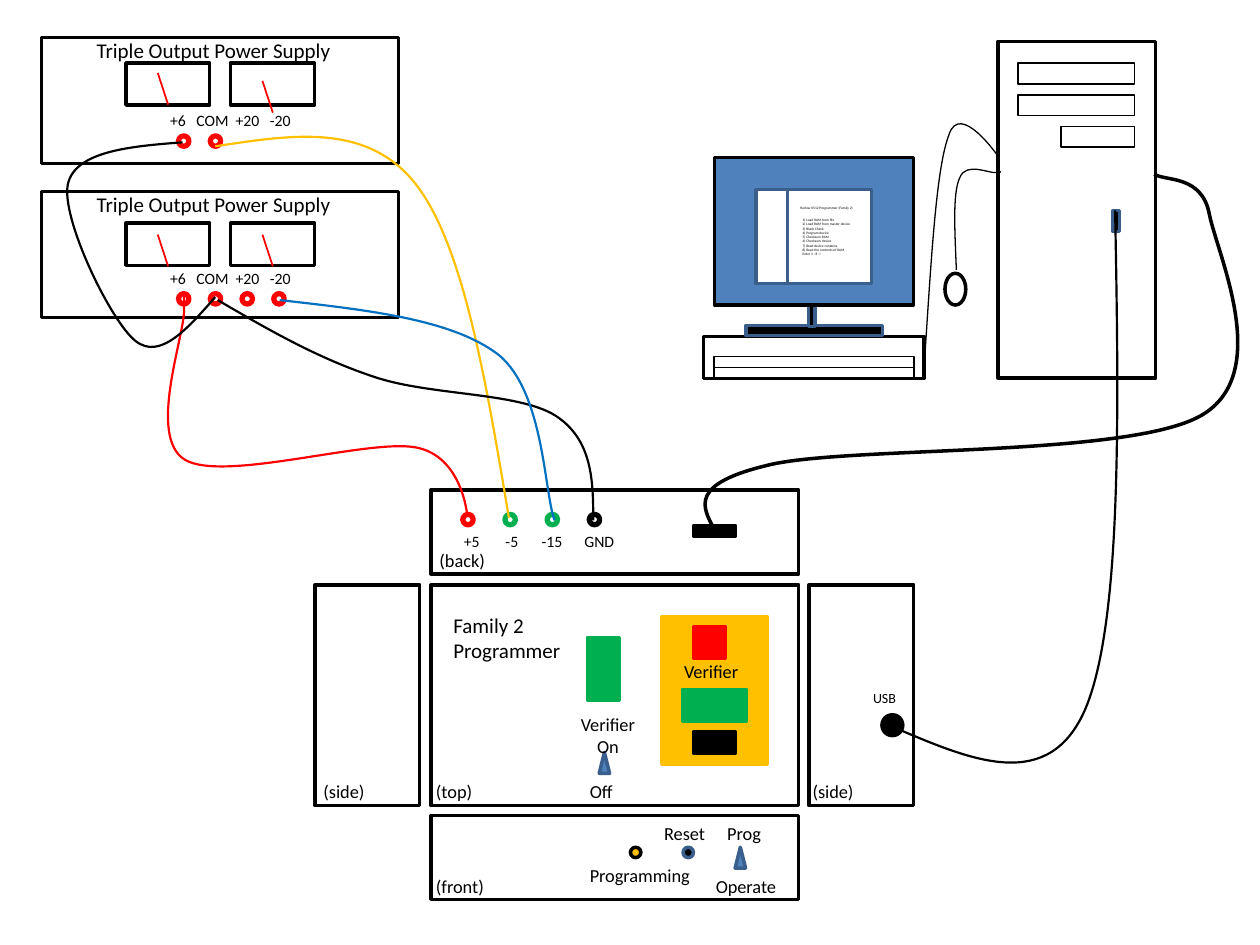
from lxml.etree import SubElement
from pptx import Presentation
from pptx.dml.color import RGBColor
from pptx.enum.shapes import MSO_CONNECTOR, MSO_SHAPE
from pptx.enum.text import PP_ALIGN
from pptx.oxml.ns import qn
from pptx.util import Cm, Pt

BLACK = RGBColor(0x00, 0x00, 0x00)
WHITE = RGBColor(0xFF, 0xFF, 0xFF)
RED = RGBColor(0xFF, 0x00, 0x00)
GREEN = RGBColor(0x00, 0xB0, 0x50)
AMBER = RGBColor(0xFF, 0xC0, 0x00)
CABLE_BLUE = RGBColor(0x00, 0x70, 0xC0)
SCREEN_BLUE = RGBColor(0x4F, 0x81, 0xBD)
EDGE_BLUE = RGBColor(0x3A, 0x5F, 0x8C)

RECT, OVAL, TRIANGLE = MSO_SHAPE.RECTANGLE, MSO_SHAPE.OVAL, MSO_SHAPE.ISOSCELES_TRIANGLE
DOT = 0.21
MENU = [
    "1) Load RAM from file", "2) Load RAM from master device", "3) Blank Check",
    "4) Program device", "5) Checksum RAM", "6) Checksum device",
    "7) Read device contents.", "8) Read the contents of RAM", "Enter 1 - 8 ->",
]


def add_part(slide, kind, left, top, width, height, fill=None, edge=BLACK, weight=2):
    part = slide.shapes.add_shape(kind, Cm(left), Cm(top), Cm(width), Cm(height))
    part.shadow.inherit = False
    if fill is None:
        part.fill.background()
    else:
        part.fill.solid()
        part.fill.fore_color.rgb = fill
    part.line.color.rgb = edge
    part.line.width = Pt(weight)


def add_label(slide, lines, left, top, width, height=0.71, size=10.5, tabs=(), align=None):
    label = slide.shapes.add_textbox(Cm(left), Cm(top), Cm(width), Cm(height))
    frame = label.text_frame
    frame.word_wrap = True
    frame.text = "\n".join(lines)
    for paragraph in frame.paragraphs:
        paragraph.alignment = align
        if tabs:
            stops = SubElement(paragraph._p.get_or_add_pPr(), qn("a:tabLst"))
            for stop in tabs:
                SubElement(stops, qn("a:tab"), pos=str(Cm(stop)), algn="l")
        paragraph.font.size = Pt(size)
        paragraph.font.name = "Calibri"
        paragraph.font.color.rgb = BLACK
    return frame


def add_line(slide, x1, y1, x2, y2, color, weight):
    line = slide.shapes.add_connector(MSO_CONNECTOR.STRAIGHT, Cm(x1), Cm(y1), Cm(x2), Cm(y2))
    line.line.color.rgb = color
    line.line.width = Pt(weight)
    SubElement(line._element.spPr, qn("a:effectLst"))


def add_wire(slide, color, weight, start, *points):
    builder = slide.shapes.build_freeform(Cm(start[0]), Cm(start[1]))
    builder.add_line_segments([(Cm(x), Cm(y)) for x, y in points], close=False)
    wire = builder.convert_to_shape()
    wire.shadow.inherit = False
    wire.fill.background()
    wire.line.color.rgb = color
    wire.line.width = Pt(weight)
    outline = wire._element.find(".//" + qn("a:path"))
    segments = outline.findall(qn("a:lnTo"))
    for first in range(0, len(segments), 3):
        curve = SubElement(outline, qn("a:cubicBezTo"))
        for segment in segments[first:first + 3]:
            curve.append(segment[0])
            outline.remove(segment)


def add_supply(slide, left, top, meter_top, needle_drops, jack_top, jack_count):
    add_part(slide, RECT, left, top, 7.2, 2.54)
    add_label(slide, ["Triple Output Power Supply"], left + 0.86, top - 0.13, 6.99, 0.76, 12)
    for meter_left, drop in zip((1.7, 3.81), needle_drops):
        x, y = left + meter_left, top + meter_top
        add_part(slide, RECT, x, y, 1.69, 0.85)
        add_line(slide, x + 0.64, y + drop, x + 0.85, y + drop + 0.64, RED, 1)
    for index in range(jack_count):
        add_part(slide, OVAL, left + 2.76 + 0.64 * index, top + jack_top, DOT, DOT, edge=RED, weight=3)
    add_label(slide, ["+6\tCOM\t+20\t-20"], left + 2.34, top + jack_top - 0.63, 4.88, 0.64, 9,
              tabs=(0.53, 1.32, 2.01))


def add_back(slide, left, top):
    add_part(slide, RECT, left, top, 7.41, 1.69)
    for index, color in enumerate((RED, GREEN, GREEN, BLACK)):
        add_part(slide, OVAL, left + 0.64 + 0.85 * index, top + 0.49, DOT, DOT, edge=color, weight=3)
    add_label(slide, ["+5\t-5\t-15\tGND"], left + 0.41, top + 0.71, 3.61, 0.64, 9,
              tabs=(0.84, 1.57, 2.43))
    add_label(slide, ["(back)"], left - 0.08, top + 1.06, 1.45)
    add_part(slide, RECT, left + 5.29, top + 0.72, 0.85, 0.21, BLACK)


def add_top(slide, left, top):
    add_part(slide, RECT, left, top, 7.41, 4.45)
    add_label(slide, ["Family 2", "Programmer"], left + 0.2, top + 0.43, 3.38, 1.27, 12)
    for x, y, width, height, color in (
        (4.65, 0.64, 2.12, 2.97, AMBER),
        (5.29, 0.84, 0.64, 0.64, RED),
        (5.08, 2.11, 1.27, 0.64, GREEN),
        (5.29, 2.97, 0.85, 0.42, BLACK),
        (3.16, 1.06, 0.64, 1.27, GREEN),
    ):
        add_part(slide, RECT, left + x, top + y, width, height, color, color)
    add_part(slide, TRIANGLE, left + 3.39, top + 3.38, DOT, 0.42, SCREEN_BLUE, EDGE_BLUE)
    add_label(slide, ["Verifier"], left + 4.85, top + 1.4, 1.65)
    add_label(slide, ["Verifier", "On"], left + 2.74, top + 2.46, 1.65, 1.14, align=PP_ALIGN.CENTER)
    add_label(slide, ["Off"], left + 2.95, top + 3.81, 1)
    add_label(slide, ["(top)"], left - 0.15, top + 3.81, 1.25)


def add_front(slide, left, top):
    add_part(slide, RECT, left, top, 7.41, 1.69)
    add_part(slide, OVAL, left + 4.02, top + 0.64, DOT, DOT, AMBER)
    add_part(slide, OVAL, left + 5.08, top + 0.64, DOT, DOT, BLACK, EDGE_BLUE)
    add_part(slide, TRIANGLE, left + 6.13, top + 0.64, DOT, 0.42, SCREEN_BLUE, EDGE_BLUE)
    for caption, x, y, width in (
        ("Reset", 4.45, 0, 1.65),
        ("Prog", 5.72, 0, 1.25),
        ("Programming", 2.95, 0.86, 2.57),
        ("Operate", 5.49, 1.07, 1.75),
        ("(front)", -0.15, 1.07, 1.5),
    ):
        add_label(slide, [caption], left + x, top + y, width)


def add_side(slide, left, top, caption_shift, has_usb=False):
    add_part(slide, RECT, left, top, 2.11, 4.45)
    add_label(slide, ["(side)"], left + caption_shift, top + 3.81, 1.35)
    if has_usb:
        add_part(slide, OVAL, left + 1.47, top + 2.62, 0.42, 0.42, BLACK)
        add_label(slide, ["USB"], left + 1.04, top + 1.98, 1.27, 0.61, 8)


def add_tower(slide, left, top):
    add_part(slide, RECT, left, top, 3.18, 6.78)
    for index, width in enumerate((2.34, 2.34, 1.48)):
        add_part(slide, RECT, left + 2.75 - width, top + 0.43 + 0.64 * index, width, 0.42, weight=1)
    add_part(slide, RECT, left + 2.32, top + 3.4, 0.13, 0.43, BLACK, EDGE_BLUE)


def add_desktop(slide, left, top):
    add_part(slide, RECT, left - 0.22, top + 3.6, 4.45, 0.85)
    add_part(slide, RECT, left + 0.64, top + 3.38, 2.75, 0.21, BLACK, EDGE_BLUE)
    add_part(slide, RECT, left + 1.9, top + 2.97, 0.13, 0.43, BLACK, EDGE_BLUE)
    add_part(slide, RECT, left, top + 4.01, 4.02, 0.43, weight=1)
    add_line(slide, left, top + 4.23, left + 4.02, top + 4.23, BLACK, 0.75)
    add_part(slide, RECT, left, top, 4.02, 2.97, SCREEN_BLUE)
    add_part(slide, RECT, left + 0.84, top + 0.64, 2.33, 1.9, WHITE, EDGE_BLUE)
    add_part(slide, RECT, left + 1.48, top + 0.64, 1.69, 1.9, WHITE, EDGE_BLUE)
    screen = add_label(slide, ["Harlow 0512 Programmer (Family 2)", *MENU],
                       left + 1.48, top + 0.84, 1.7, 1.27, 2)
    screen.paragraphs[1].space_before = Pt(4.8)
    for entry in screen.paragraphs[1:]:
        entry._p.get_or_add_pPr().set("marL", str(Cm(0.05)))
    add_part(slide, OVAL, left + 4.65, top + 2.33, 0.42, 0.64)


def add_wires(slide):
    add_wire(slide, BLACK, 0.75, (19.28, 5.44), (19.25, 4.67), (19.2, 3.89), (19.35, 3.58),
             (19.48, 3.25), (19.96, 3.51), (20.09, 3.48), (20.22, 3.48), (20.17, 3.45), (20.09, 3.45))
    add_wire(slide, BLACK, 0.75, (18.64, 7.24), (18.77, 5.31), (18.87, 3.38), (19.13, 2.72),
             (19.35, 2.03), (20.12, 3.15), (20.12, 3.15))
    add_wire(slide, BLACK, 1.25, (18.06, 14.68), (19.61, 15.34), (21.16, 16), (21.89, 14.27),
             (22.61, 12.52), (22.56, 8.38), (22.48, 4.24))
    add_wire(slide, RED, 1.25, (3.71, 6.12), (3.71, 5.94), (3.71, 5.77), (3.71, 6.27),
             (3.71, 6.81), (2.97, 8.81), (3.73, 9.27), (4.52, 9.73), (7.42, 8.84), (8.38, 9.02),
             (9.32, 9.19), (9.42, 10.39), (9.42, 10.39))
    add_wire(slide, AMBER, 1.25, (4.34, 2.95), (5.87, 2.72), (7.39, 2.46), (8.38, 3.71),
             (9.35, 4.95), (9.8, 7.7), (10.26, 10.44))
    add_wire(slide, BLACK, 1.25, (4.39, 6.05), (5.38, 6.63), (6.38, 7.21), (7.52, 7.59),
             (8.64, 7.98), (10.44, 7.9), (11.2, 8.38), (11.94, 8.86), (11.96, 9.68), (11.96, 10.49))
    add_wire(slide, BLACK, 1.25, (4.34, 5.99), (3.78, 6.63), (3.23, 7.26), (2.74, 6.88),
             (2.24, 6.5), (1.22, 4.39), (1.37, 3.71), (1.52, 3.05), (2.62, 2.95), (3.68, 2.87))
    add_wire(slide, CABLE_BLUE, 1.25, (5.64, 6.05), (7.39, 6.25), (9.12, 6.43), (10.06, 7.16),
             (10.97, 7.92), (10.97, 9.93), (11.18, 10.49))
    add_wire(slide, BLACK, 2, (14.4, 10.67), (14.15, 10.21), (13.89, 9.75), (15.52, 9.37),
             (17.15, 8.99), (22.73, 9.22), (24.21, 8.38), (25.68, 7.54), (24.54, 5.13), (24.38, 4.32),
             (24.23, 3.51), (23.47, 3.66), (23.27, 3.51))


def main():
    deck = Presentation()
    deck.slide_width, deck.slide_height = Cm(25.4), Cm(19.05)
    slide = deck.slides.add_slide(deck.slide_layouts[6])
    add_top(slide, 8.69, 11.79)
    add_front(slide, 8.69, 16.44)
    add_back(slide, 8.69, 9.88)
    add_side(slide, 6.35, 11.79, -0.08)
    add_side(slide, 16.31, 11.79, -0.18, has_usb=True)
    add_supply(slide, 0.84, 0.76, 0.51, (0.2, 0.36), 1.98, 2)
    add_supply(slide, 0.84, 3.86, 0.64, (0.23, 0.23), 2.06, 4)
    add_tower(slide, 20.12, 0.84)
    add_desktop(slide, 14.4, 3.18)
    add_wires(slide)
    deck.save("out.pptx")


if __name__ == "__main__":
    main()
